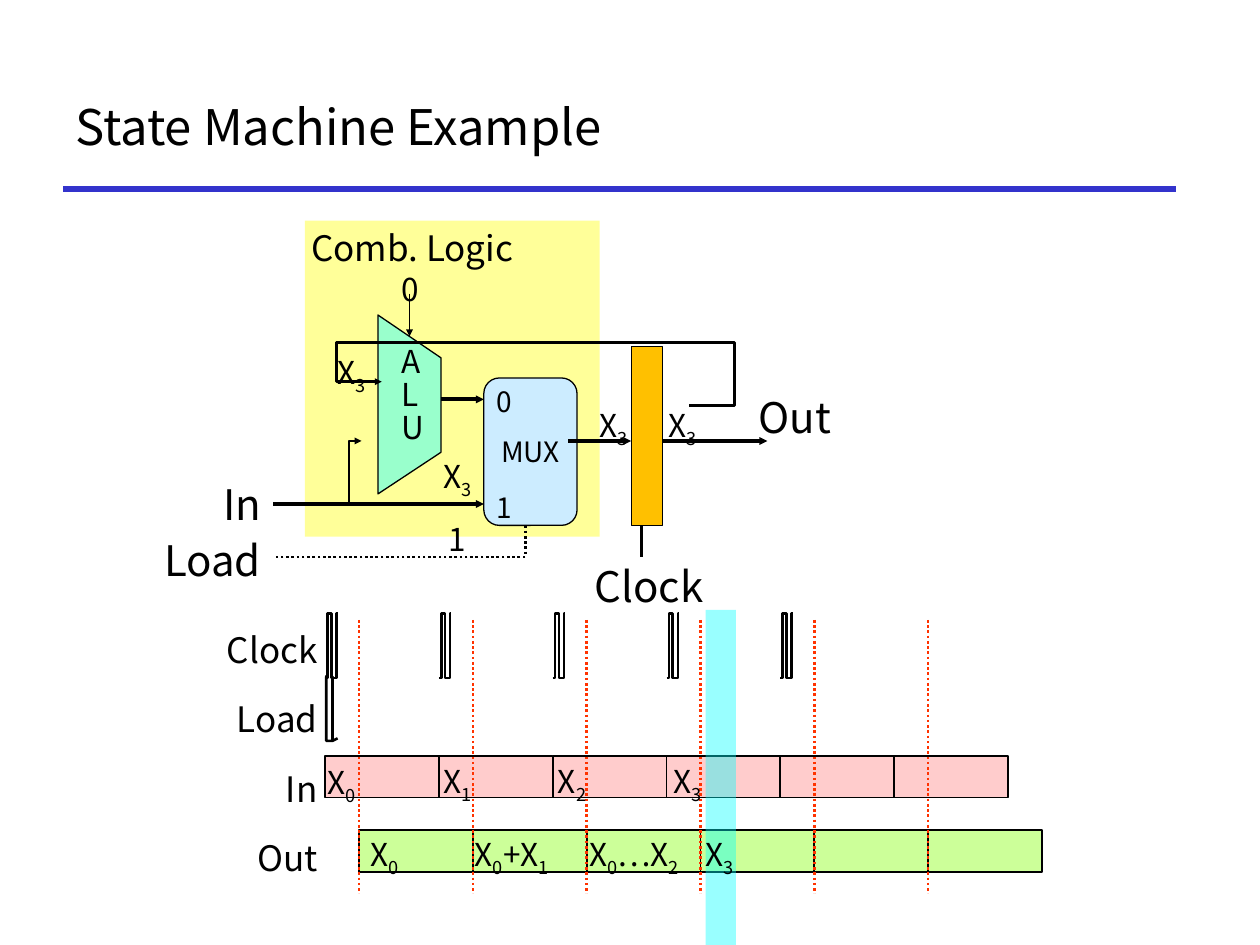
from lxml.etree import SubElement
from pptx import Presentation
from pptx.dml.color import RGBColor
from pptx.enum.dml import MSO_LINE
from pptx.enum.shapes import MSO_CONNECTOR, MSO_SHAPE
from pptx.enum.text import MSO_ANCHOR, MSO_AUTO_SIZE, PP_ALIGN
from pptx.oxml.ns import qn
from pptx.util import Inches, Pt

COLORS = {
    "black": "000000", "rule": "3333CC", "logic": "FFFF99", "alu": "99FFCC",
    "mux": "CCECFF", "register": "FFC000", "in": "FFCCCC", "out": "CCFF99",
    "edge": "FF3300", "highlight": "00FFFF",
}
FONT = "Noto Sans CJK KR"
LEFT, CENTER, RIGHT = PP_ALIGN.LEFT, PP_ALIGN.CENTER, PP_ALIGN.RIGHT

presentation = Presentation()
presentation.slide_width = Inches(10)
presentation.slide_height = Inches(7.5)
slide = presentation.slides.add_slide(presentation.slide_layouts[6])
shapes = slide.shapes


def draw_path(points, width, color="black", dash=None, arrow=False, fill=None):
    corners = [(Inches(x), Inches(y)) for x, y in points]
    if len(corners) == 2:
        shape = shapes.add_connector(MSO_CONNECTOR.STRAIGHT, *corners[0], *corners[1])
        SubElement(shape._element.spPr, qn("a:effectLst"))
    else:
        builder = shapes.build_freeform(*corners[0], scale=1.0)
        builder.add_line_segments(corners[1:], close=fill is not None)
        shape = builder.convert_to_shape()
        shape.shadow.inherit = False
        if fill:
            shape.fill.solid()
            shape.fill.fore_color.rgb = RGBColor.from_string(COLORS[fill])
        else:
            shape.fill.background()
    shape.line.color.rgb = RGBColor.from_string(COLORS[color])
    shape.line.width = Pt(width)
    if dash:
        shape.line.dash_style = dash
    if arrow:
        SubElement(shape.line._get_or_add_ln(), qn("a:tailEnd"), type="triangle", w="sm", len="sm")


def write_text(shape, text, size, align=LEFT, inset=0.1, **frame_format):
    frame = shape.text_frame
    values = {
        "margin_left": Inches(inset), "margin_right": Inches(inset),
        "margin_top": Inches(0.05), "margin_bottom": Inches(0.05),
        "vertical_anchor": MSO_ANCHOR.TOP, "word_wrap": False,
    }
    for name, value in (values | frame_format).items():
        setattr(frame, name, value)
    for index, line in enumerate(text.split("\n")):
        paragraph = frame.add_paragraph() if index else frame.paragraphs[0]
        paragraph.alignment = align
        if "\n" in text:
            paragraph.line_spacing = 0.7
        if index:
            paragraph.space_before = Pt(size * 0.2)
        for position, part in enumerate(line.split("_")):
            if not part:
                continue
            run = paragraph.add_run()
            run.text = part
            for name, value in {"name": FONT, "size": Pt(size)}.items():
                setattr(run.font, name, value)
            run.font.color.rgb = RGBColor.from_string(COLORS["black"])
            if position % 2:
                run._r.get_or_add_rPr().set("baseline", "-25000")


draw_path([(0.5, 1.5), (9.33, 1.5)], 3, "rule")
title = shapes.add_textbox(Inches(0.5), Inches(0.5), Inches(8.83), Inches(1))
write_text(title, "State Machine Example", 28, vertical_anchor=MSO_ANCHOR.MIDDLE, word_wrap=True)

wave_left, out_left, period, periods = 2.58, 2.85, 5.42 / 6, 6
clock_high, clock_low = 4.87, 5.38
clock_steps = [(0, 0), (0.02, 0), (0.02, 1), (0.05, 1), (0.05, 0),
               (0.08, 0), (0.09, 0), (0.09, 1), (0.1, 1)]
for cycle in range(5):
    start = wave_left + cycle * period
    draw_path([(start + x, clock_high if high else clock_low) for x, high in clock_steps], 1.5)
draw_path([(2.58, 5.37), (2.59, 5.37), (2.59, 5.88), (2.64, 5.88),
           (2.64, 5.37), (2.64, 5.88), (2.68, 5.86)], 1.5)

rectangle = MSO_SHAPE.RECTANGLE
blocks = [(rectangle, wave_left + i * period, 6, period, 0.33, "in", 1) for i in range(periods)]
blocks += [(rectangle, out_left + i * period, 6.59, period, 0.33, "out", 1) for i in range(periods)]
blocks += [
    (rectangle, 2.42, 1.75, 2.34, 2.51, "logic", 0),
    (rectangle, 5.01, 2.75, 0.25, 1.42, "register", 0.75),
    (MSO_SHAPE.ROUNDED_RECTANGLE, 3.84, 3, 0.74, 1.17, "mux", 0.75),
]
block_shapes = {}
for kind, left, top, width, height, color, line_width in blocks:
    block = shapes.add_shape(kind, Inches(left), Inches(top), Inches(width), Inches(height))
    block.shadow.inherit = False
    block.fill.solid()
    block.fill.fore_color.rgb = RGBColor.from_string(COLORS[color])
    if line_width:
        block.line.color.rgb = RGBColor.from_string(COLORS["black"])
        block.line.width = Pt(line_width)
    else:
        block.line.fill.background()
    block_shapes[color] = block
write_text(block_shapes["logic"], "Comb. Logic", 20, inset=0.05)
write_text(block_shapes["mux"], "MUX", 16, CENTER, vertical_anchor=MSO_ANCHOR.MIDDLE)

for cycle in range(periods):
    x = out_left + cycle * period
    draw_path([(x, 4.92), (x, 7.09)], 1.5, "edge", MSO_LINE.ROUND_DOT)

draw_path([(3, 2.5), (3.5, 2.84), (3.5, 3.59), (3, 3.92)], 0.75, fill="alu")
for points, width in [
    ([(5.26, 3.5), (6.09, 3.5)], 2.25),
    ([(3.25, 2.33), (3.25, 2.67)], 1),
    ([(2.17, 4), (3.84, 4)], 2.25),
    ([(3.5, 3.17), (3.84, 3.17)], 2.25),
    ([(4.51, 3.5), (5.01, 3.5)], 2.25),
    ([(2.77, 4), (2.77, 3.5), (2.87, 3.5)], 1.5),
    ([(5.47, 3.22), (5.83, 3.22), (5.83, 2.72), (2.67, 2.72), (2.67, 3.03), (3.03, 3.03)], 1.5),
]:
    draw_path(points, width, arrow=True)
draw_path([(4.17, 4.17), (4.17, 4.42), (2.17, 4.42)], 1.5, dash=MSO_LINE.ROUND_DOT)
draw_path([(5.09, 4.17), (5.09, 4.42)], 1.5)

highlight = shapes.add_shape(rectangle, Inches(5.6), Inches(4.84), Inches(0.24), Inches(2.66))
highlight.shadow.inherit = False
highlight.fill.solid()
highlight.fill.fore_color.rgb = RGBColor.from_string(COLORS["highlight"])
highlight.line.fill.background()
SubElement(highlight._element.spPr.find(qn("a:solidFill"))[0], qn("a:alpha"), val="40000")

labels = [
    (1.58, 4.94 + 0.55 * row, 0.99, 0.44, name, 20, RIGHT, 0.05, True)
    for row, name in enumerate(["Clock", "Load", "In", "Out"])
]
labels += [
    (left, top, 0.51, 0.41, text, 18, LEFT, 0.1, False)
    for left, top, text in [
        (2.5, 6.01, "X_0"), (3.42, 6, "X_1"), (4.33, 6, "X_2"), (5.25, 6, "X_3"),
        (2.84, 6.58, "X_0"), (5.5, 6.58, "X_3"),
        (3.42, 3.58, "X_3"), (5.21, 3.17, "X_3"), (2.58, 2.75, "X_3"),
    ]
]
labels += [
    (3.67, 6.58, 0.95, 0.41, "X_0_+X_1", 18, LEFT, 0.1, False),
    (4.58, 6.58, 1.04, 0.41, "X_0_…X_2", 18, LEFT, 0.1, False),
    (4.49, 3.17, 0.59, 0.41, "X_3", 18, RIGHT, 0.1, True),
    (3.09, 2.75, 0.42, 0.87, "A\nL\nU", 18, LEFT, 0.1, True),
    (3.09, 2.09, 0.35, 0.41, "0", 18, LEFT, 0.1, False),
    (3.51, 4.08, 0.24, 0.4, "1", 18, LEFT, 0.05, False),
    (3.84, 3, 0.5, 0.38, "0", 16, LEFT, 0.1, True),
    (3.84, 3.84, 0.5, 0.38, "1", 16, LEFT, 0.1, True),
    (5.92, 3.06, 0.81, 0.51, "Out", 24, LEFT, 0.1, False),
    (4.67, 4.4, 0.98, 0.51, "Clock", 24, LEFT, 0.05, False),
    (1.34, 3.75, 0.83, 0.51, "In", 24, RIGHT, 0.1, True),
    (1, 4.19, 1.17, 0.51, "Load", 24, RIGHT, 0.1, True),
]
for left, top, width, height, text, size, align, inset, wrap in labels:
    label = shapes.add_textbox(Inches(left), Inches(top), Inches(width), Inches(height))
    write_text(label, text, size, align, inset, word_wrap=wrap,
               auto_size=MSO_AUTO_SIZE.SHAPE_TO_FIT_TEXT)

presentation.save("out.pptx")
